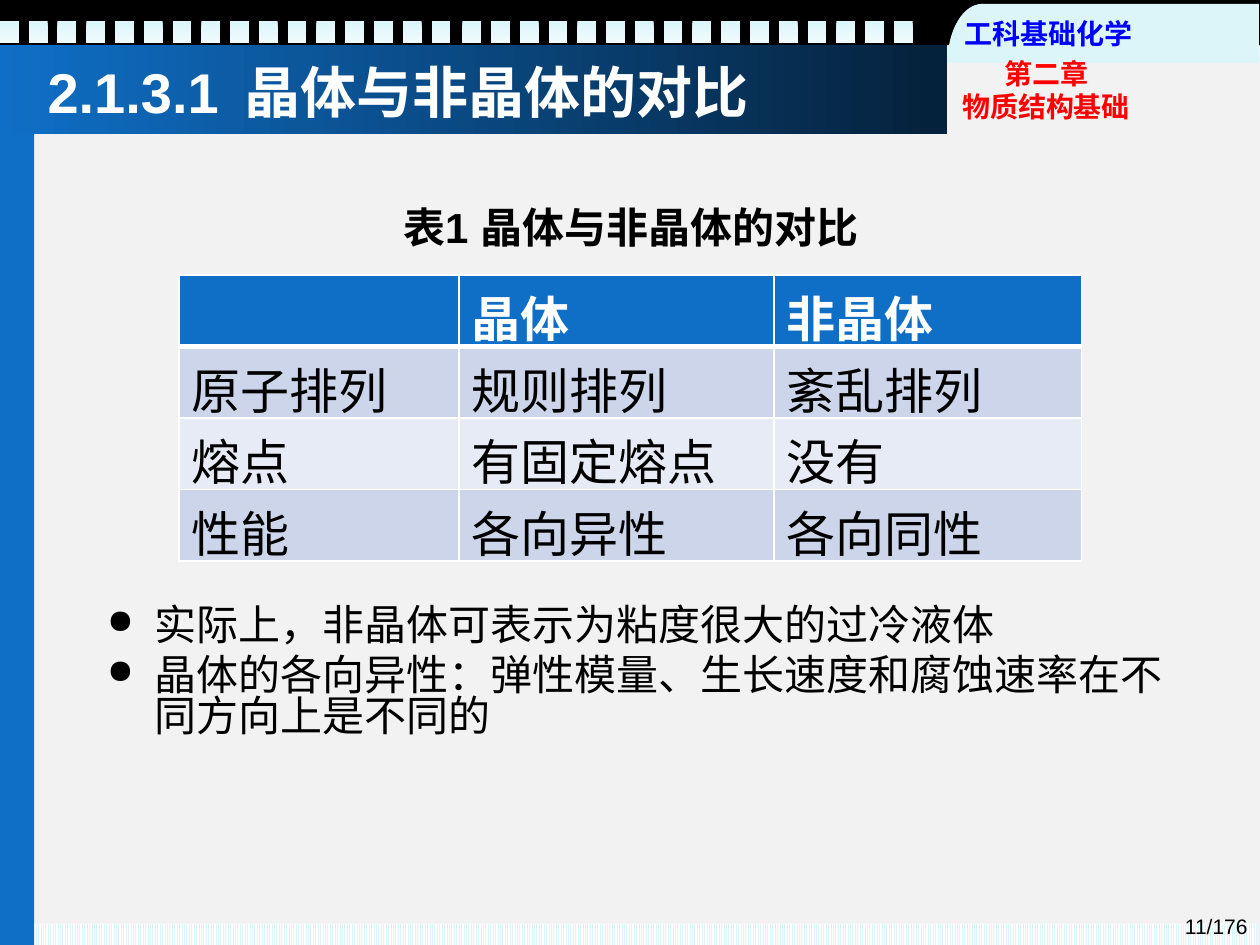
from dataclasses import dataclass
from math import cos, pi, sin

from lxml.etree import SubElement
from pptx import Presentation
from pptx.dml.color import RGBColor
from pptx.enum.dml import MSO_PATTERN
from pptx.enum.shapes import MSO_SHAPE
from pptx.enum.text import MSO_ANCHOR, PP_ALIGN
from pptx.oxml.ns import qn
from pptx.util import Cm, Pt

BLACK = RGBColor(0x00, 0x00, 0x00)
WHITE = RGBColor(0xFF, 0xFF, 0xFF)
PAPER = RGBColor(0xF2, 0xF2, 0xF2)
BLUE = RGBColor(0x0F, 0x6F, 0xC6)
NAVY = RGBColor(0x05, 0x21, 0x3B)
ICE = RGBColor(0xDB, 0xF5, 0xF9)
FROST = RGBColor(0xF1, 0xFB, 0xFD)
INK = RGBColor(0x00, 0x00, 0xFF)
RED = RGBColor(0xFF, 0x00, 0x00)
BAND = RGBColor(0xCC, 0xD5, 0xEA)
PALE = RGBColor(0xE7, 0xEB, 0xF5)
LATIN, HAN = "Arial", "Noto Sans CJK SC"


@dataclass
class Box:
    """Left, top, width and height in centimetres."""
    x: float
    y: float
    w: float
    h: float

    def size(self) -> list:
        return [Cm(v) for v in (self.x, self.y, self.w, self.h)]


@dataclass
class Label:
    box: Box
    text: str
    size: int
    color: RGBColor = BLACK
    bold: bool = True
    align: PP_ALIGN = PP_ALIGN.CENTER
    anchor: MSO_ANCHOR = MSO_ANCHOR.BOTTOM
    inset: bool = False


def bare(shape):
    shape.shadow.inherit = False
    shape.line.fill.background()
    return shape


def block(slide, box: Box, color: RGBColor):
    shape = bare(slide.shapes.add_shape(MSO_SHAPE.RECTANGLE, *box.size()))
    shape.fill.solid()
    shape.fill.fore_color.rgb = color
    return shape


def blend(shape, start: RGBColor, end: RGBColor, angle: int) -> None:
    shape.fill.gradient()
    shape.fill.gradient_angle = angle
    for stop, color in zip(shape.fill.gradient_stops, (start, end)):
        stop.color.rgb = color


def write(para, text: str, *, size: int, color: RGBColor = BLACK,
          bold: bool = False, font: str = LATIN) -> None:
    """Append text to a paragraph; a newline becomes a line break."""
    for i, part in enumerate(text.split("\n")):
        if i:
            para.add_line_break()
            SubElement(para._p[-1], qn("a:rPr"), sz=str(size * 100))
        run = para.add_run()
        run.text = part
        run.font.size, run.font.bold, run.font.name = Pt(size), bold, font
        run.font.color.rgb = color
        SubElement(run._r.get_or_add_rPr(), qn("a:ea"), typeface=HAN)


def frame(slide, box: Box, anchor: MSO_ANCHOR = MSO_ANCHOR.TOP):
    text = slide.shapes.add_textbox(*box.size()).text_frame
    text.word_wrap = True
    text.vertical_anchor = anchor
    return text


def label(slide, item: Label) -> None:
    text = frame(slide, item.box, item.anchor)
    if not item.inset:
        text.margin_left = text.margin_right = 0
        text.margin_top = text.margin_bottom = 0
    para = text.paragraphs[0]
    para.alignment = item.align
    write(para, item.text, size=item.size, color=item.color, bold=item.bold)


def bullet(para) -> None:
    props = para._p.get_or_add_pPr()
    props.set("marL", str(Cm(0.95)))
    props.set("indent", str(Cm(-0.95)))
    SubElement(props, qn("a:buSzPct"), val="80000")
    SubElement(props, qn("a:buChar"), char="●")


def border(cell, side: str, width: int) -> None:
    line = SubElement(cell._tc.get_or_add_tcPr(), qn(f"a:ln{side}"),
                      w=str(Pt(width)))
    fill = SubElement(line, qn("a:solidFill"))
    SubElement(fill, qn("a:srgbClr"), val=str(WHITE))


def grid(slide, box: Box, cols: list, rows: list) -> None:
    table = slide.shapes.add_table(len(rows), len(cols), *box.size()).table
    table.horz_banding = False
    for col, width in zip(table.columns, cols):
        col.width = Cm(width)
    for r, row in enumerate(rows):
        head = r == 0
        for c, text in enumerate(row):
            cell = table.cell(r, c)
            for side in "LRTB":
                thick = (head and side == "B") or (r == 1 and side == "T")
                border(cell, side, 3 if thick else 1)
            cell.fill.solid()
            cell.fill.fore_color.rgb = BLUE if head else (PALE, BAND)[r % 2]
            if text:
                write(cell.text_frame.paragraphs[0], text, size=28, bold=head,
                      color=WHITE if head else BLACK, font=HAN)


def main() -> None:
    deck = Presentation()
    deck.slide_width, deck.slide_height = Cm(25.4), Cm(19.05)
    slide = deck.slides.add_slide(deck.slide_layouts[6])
    slide.background.fill.solid()
    slide.background.fill.fore_color.rgb = PAPER

    # Film strip: two runs of sixteen holes
    block(slide, Box(0, 0.89, 19.05, 1.63), BLACK)
    block(slide, Box(0, 0, 25.4, 0.91), BLACK)
    for start in (0, 9.32):
        for i in range(16):
            hole = block(slide, Box(start + i * 0.58, 0.43, 0.38, 0.43), ICE)
            blend(hole, ICE, FROST, 270)

    # Striped foot
    foot = block(slide, Box(0.58, 18.62, 24.77, 0.43), WHITE)
    foot.fill.patterned()
    foot.fill.pattern = MSO_PATTERN.LIGHT_VERTICAL
    foot.fill.fore_color.rgb = ICE
    foot.fill.back_color.rgb = WHITE

    # Corner tab with a rounded left end
    block(slide, Box(19.79, 0.08, 5.59, 1.19), ICE)
    arc = [(Cm(19.8 - 0.7 * cos(pi * i / 32)), Cm(1.27 - 1.19 * sin(pi * i / 32)))
           for i in range(33)]
    pen = slide.shapes.build_freeform(*arc[0])
    pen.add_line_segments(arc[1:], close=True)
    curve = bare(pen.convert_to_shape())
    curve.fill.solid()
    curve.fill.fore_color.rgb = ICE

    # Side bar and title band
    block(slide, Box(0, 2.31, 0.69, 16.74), BLUE)
    band = block(slide, Box(0, 0.91, 19.1, 1.8), BLUE)
    blend(band, BLUE, NAVY, 0)

    # Page number, course, chapter and table caption
    for item in (
        Label(Box(19.51, 18.29, 5.89, 0.76), "11/176", 12, bold=False,
              align=PP_ALIGN.RIGHT, inset=True),
        Label(Box(19.35, 0.33, 3.58, 0.69), "工科基础化学", 16, INK),
        Label(Box(19.3, 1.12, 3.58, 1.37), "第二章\n物质结构基础", 16, RED),
        Label(Box(3.61, 3.94, 18.21, 1.27), "表1 晶体与非晶体的对比", 24,
              anchor=MSO_ANCHOR.TOP, inset=True),
    ):
        label(slide, item)

    # Title
    title = frame(slide, Box(0.71, 0.89, 18.36, 1.88), MSO_ANCHOR.MIDDLE)
    for text, font in (("2.1.3.1", LATIN), ("  晶体与非晶体的对比", HAN)):
        write(title.paragraphs[0], text, size=32, color=WHITE, bold=True, font=font)

    # Notes under the table
    body = frame(slide, Box(1.91, 12.12, 22.2, 3.99))
    notes = ("实际上，非晶体可表示为粘度很大的过冷液体",
             "晶体的各向异性：弹性模量、生长速度和腐蚀速率在不同方向上是不同的")
    for i, text in enumerate(notes):
        para = body.add_paragraph() if i else body.paragraphs[0]
        bullet(para)
        para.line_spacing = 0.82
        if i:
            para.space_before = Pt(4.8)
        write(para, text, size=24, font=HAN)

    # Comparison table
    grid(slide, Box(3.61, 5.54, 18.21, 5.77), [5.64, 6.35, 6.2], [
        ["", "晶体", "非晶体"],
        ["原子排列", "规则排列", "紊乱排列"],
        ["熔点", "有固定熔点", "没有"],
        ["性能", "各向异性", "各向同性"],
    ])
    deck.save("out.pptx")


if __name__ == "__main__":
    main()
